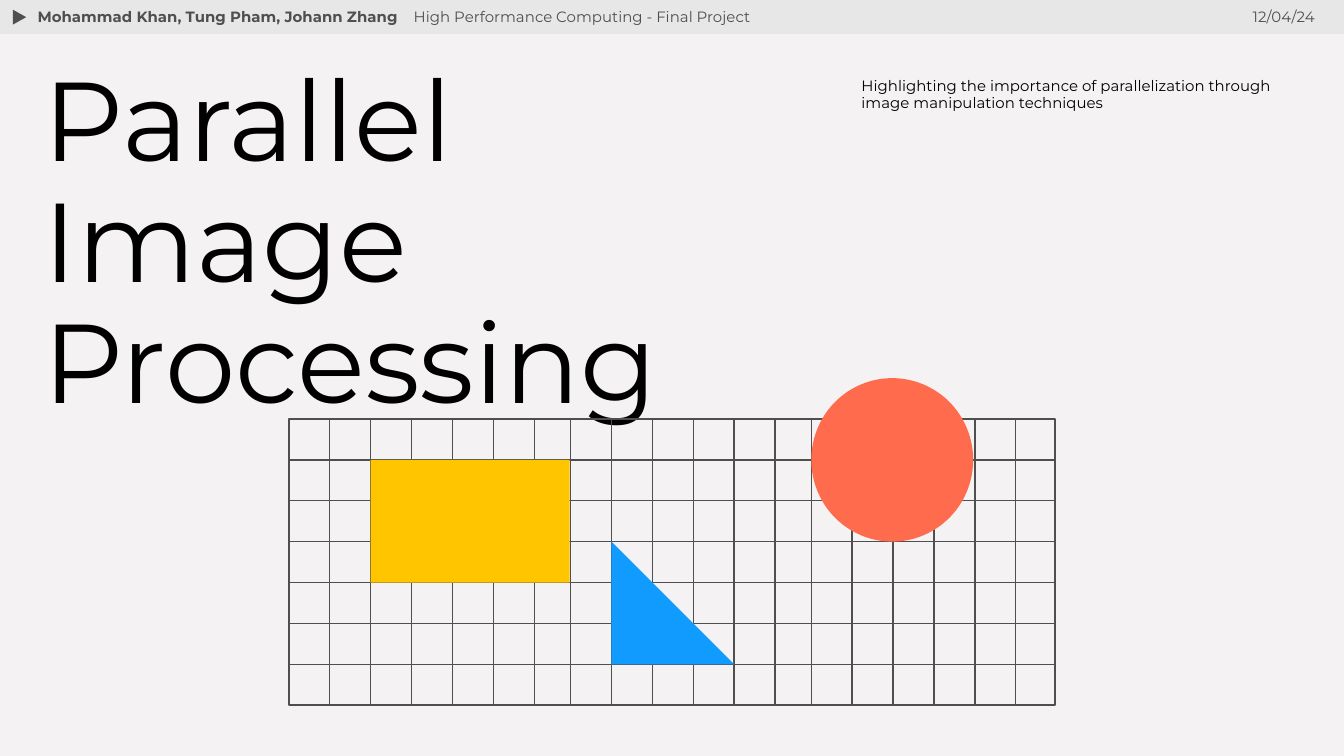
from lxml.etree import SubElement
from pptx import Presentation
from pptx.dml.color import RGBColor
from pptx.enum.shapes import MSO_CONNECTOR, MSO_SHAPE as Shape
from pptx.enum.text import MSO_ANCHOR as Anchor, MSO_AUTO_SIZE as AutoSize, PP_ALIGN as Align
from pptx.oxml.ns import qn
from pptx.util import Cm, Pt


def color(value):
    return RGBColor.from_string(value)


def write(holder, box, text, ink, size=8, bold=False, align=Align.LEFT, spacing=1.0):
    holder.left, holder.top, holder.width, holder.height = [Cm(v) for v in box]
    frame = holder.text_frame
    frame.word_wrap = True
    frame.auto_size = AutoSize.NONE
    frame.vertical_anchor = Anchor.TOP
    frame.margin_left = frame.margin_right = Cm(0.25)
    frame.margin_top = frame.margin_bottom = Cm(0.25)
    paragraph = frame.paragraphs[0]
    paragraph.alignment = align
    paragraph.line_spacing = spacing
    paragraph.space_before = Pt(0)
    run = paragraph.add_run()
    run.text = text
    run.font.name = "Montserrat"
    run.font.size = Pt(size)
    run.font.bold = bold
    run.font.color.rgb = color(ink)


GRAY, BLACK, BAR = "4F4F4F", "000000", "E7E7E7"

prs = Presentation()
prs.slide_width, prs.slide_height = Cm(25.4), Cm(14.29)
slide = prs.slides.add_slide(prs.slide_layouts[0])
slide.background.fill.solid()
slide.background.fill.fore_color.rgb = color("F4F2F2")
shapes = slide.shapes

write(shapes.title, (0.58, 0.97, 14.83, 5.56), "Parallel Image Processing",
      BLACK, size=60, spacing=0.9)
write(slide.placeholders[1], (16.03, 1.19, 8.99, 2.06),
      "Highlighting the importance of parallelization through image manipulation techniques", BLACK)

grid_left, grid_top, grid_width, grid_height = 5.46, 7.92, 14.48, 5.41
grid_right, grid_bottom = grid_left + grid_width, grid_top + grid_height
rows = 7
cell = grid_height / rows
block_step = 4.55
block_lines = 6
first_column = grid_left + cell

frame = shapes.add_shape(Shape.RECTANGLE, Cm(grid_left), Cm(grid_top),
                         Cm(grid_width), Cm(grid_height))
frame.shadow.inherit = False
frame.fill.background()
frame.line.color.rgb = color(GRAY)
frame.line.width = Pt(0.75)

column_xs = [first_column + block * block_step + i * cell
             for block in range(3) for i in range(block_lines)]
row_ys = [grid_top + i * cell for i in range(1, rows)]
grid_lines = [(x, grid_top, x, grid_bottom) for x in column_xs]
grid_lines += [(grid_left, y, grid_right, y) for y in row_ys]
for ends in grid_lines:
    rule = shapes.add_connector(MSO_CONNECTOR.STRAIGHT, *[Cm(v) for v in ends])
    rule.line.color.rgb = color(GRAY)
    rule.line.width = Pt(0.75)
    SubElement(rule._element.spPr, qn("a:effectLst"))

second_block = first_column + block_step
third_block = second_block + block_step
for kind, box, fill, turn in [
    (Shape.RECTANGLE, (0, 0, 25.4, 0.64), BAR, 0),
    (Shape.ISOSCELES_TRIANGLE, (0.23, 0.2, 0.28, 0.25), GRAY, 90),
    (Shape.RECTANGLE, (grid_left + 2 * cell, grid_top + cell, 3.76, 3 * cell), "FFC600", 0),
    (Shape.OVAL, (third_block, grid_top - cell, 3.06, 4 * cell), "FF6B4D", 0),
    (Shape.RIGHT_TRIANGLE, (second_block + cell, grid_top + 3 * cell, 3 * cell, 3 * cell),
     "119BFE", 0),
]:
    figure = shapes.add_shape(kind, *[Cm(v) for v in box])
    figure.shadow.inherit = False
    figure.fill.solid()
    figure.fill.fore_color.rgb = color(fill)
    figure.line.fill.background()
    figure.rotation = turn

for text, left, width, bold, align in [
    ("Mohammad Khan, Tung Pham, Johann Zhang", 0.46, 9.5, True, Align.LEFT),
    ("High Performance Computing - Final Project", 7.57, 10.59, False, Align.LEFT),
    ("12/04/24", 21.92, 3.18, False, Align.RIGHT),
]:
    header = shapes.add_textbox(0, 0, 0, 0)
    write(header, (left, -0.1, width, 0.86), text, GRAY, bold=bold, align=align)

prs.save("out.pptx")
